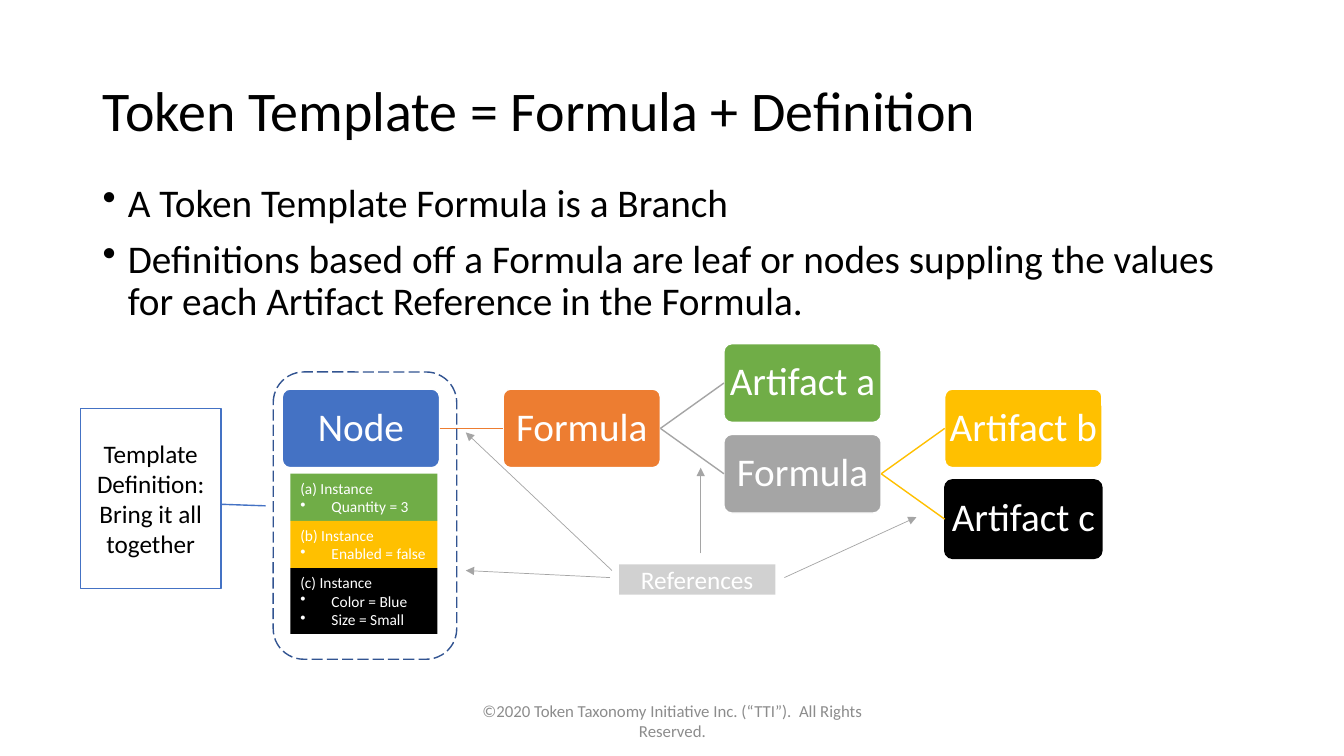
import pptx
import pptx.util
import pptx.dml.color
import pptx.enum.dml
import pptx.enum.shapes
import pptx.enum.text
import pptx.oxml.ns
from lxml import etree

Inches, Pt = pptx.util.Inches, pptx.util.Pt
SHAPE = pptx.enum.shapes.MSO_SHAPE
ALIGN = pptx.enum.text.PP_ALIGN
ANCHOR = pptx.enum.text.MSO_ANCHOR
STRAIGHT = pptx.enum.shapes.MSO_CONNECTOR.STRAIGHT
SLIDE_W, SLIDE_H = 13.33, 7.5
FONT = "Calibri"
COLORS = {
    "black": "000000", "white": "FFFFFF", "blue": "4472C4", "navy": "325491",
    "orange": "ED7D31", "green": "70AD47", "gray": "A5A5A5", "gold": "FFC000",
    "footer": "8C8C8C",
}
LEFT_SIDE, RIGHT_SIDE = 1, 3

# Tree boxes: key, label, fill, column, row (in half steps), parent
TREE = [
    ("node", "Node", "blue", 0, 1, None),
    ("formula", "Formula", "orange", 1, 1, "node"),
    ("a", "Artifact a", "green", 2, 0, "formula"),
    ("branch", "Formula", "gray", 2, 2, "formula"),
    ("b", "Artifact b", "gold", 3, 1, "branch"),
    ("c", "Artifact c", "black", 3, 3, "branch"),
]
LINK_COLORS = {"node": "orange", "formula": "gray", "branch": "gold"}
INSTANCES = [
    ("green", ["(a) Instance", "Quantity = 3"]),
    ("gold", ["(b) Instance", "Enabled = false"]),
    ("black", ["(c) Instance", "Color = Blue", "Size = Small"]),
]


def rgb(name):
    return pptx.dml.color.RGBColor.from_string(COLORS[name])


def add_xml(parent, tag, **attributes):
    return etree.SubElement(parent, pptx.oxml.ns.qn(tag), **attributes)


def place(shape, box):
    shape.left, shape.top, shape.width, shape.height = map(Inches, box)


def add_bullet(paragraph, indent):
    properties = paragraph._p.get_or_add_pPr()
    properties.set("marL", str(Inches(indent)))
    properties.set("indent", str(-Inches(indent)))
    add_xml(properties, "a:buChar", char="•")


def write(shape, lines, size, color, align=ALIGN.LEFT, anchor=ANCHOR.MIDDLE,
          spacing=None, bullets_from=None, indent=0, gap=0):
    """Fill a shape with lines; those from index bullets_from on are bulleted."""
    frame = shape.text_frame
    frame.text = "\n".join(lines)
    frame.word_wrap = True
    frame.auto_size = pptx.enum.text.MSO_AUTO_SIZE.NONE
    frame.vertical_anchor = anchor
    for index, paragraph in enumerate(frame.paragraphs):
        if bullets_from is not None and index >= bullets_from:
            add_bullet(paragraph, indent)
        paragraph.alignment = align
        paragraph.line_spacing = spacing
        if index and gap:
            paragraph.space_before = Pt(gap)
        for run in paragraph.runs:
            run.font.name, run.font.size = FONT, Pt(size)
            run.font.color.rgb = rgb(color)


def add_box(slide, kind, box, fill=None, line=None):
    shape = slide.shapes.add_shape(kind, *map(Inches, box))
    shape.shadow.inherit = False
    if fill:
        shape.fill.solid()
        shape.fill.fore_color.rgb = rgb(fill)
    else:
        shape.fill.background()
    if line:
        shape.line.color.rgb = rgb(line)
        shape.line.width = Pt(1)
    else:
        shape.line.fill.background()
    return shape


def add_line(slide, start, end, color, width):
    line = slide.shapes.add_connector(STRAIGHT, *map(Inches, start + end))
    line.line.color.rgb = rgb(color)
    line.line.width = Pt(width)
    add_xml(line._element.spPr, "a:effectLst")
    return line


def add_heading(slide, box):
    title = slide.shapes.title
    place(title, box)
    write(title, ["Token Template = Formula + Definition"], 40, "black", spacing=0.9)


def add_points(slide, box):
    points = slide.shapes.add_textbox(*map(Inches, box))
    write(points, [
        "A Token Template Formula is a Branch",
        "Definitions based off a Formula are leaf or nodes suppling the values "
        "for each Artifact Reference in the Formula.",
    ], 28, "black", anchor=ANCHOR.TOP, spacing=0.9, bullets_from=0, indent=0.25, gap=10)


def add_footer(slide, box):
    footer = slide.shapes.add_textbox(*map(Inches, box))
    write(footer, ["©2020 Token Taxonomy Initiative Inc. (“TTI”).  All Rights Reserved."],
          12, "footer", ALIGN.CENTER)


def add_tree(slide, box):
    left, top, width, height = box
    box_w, box_h = 1.56, 0.78
    column_step, row_step = (width - box_w) / 3, (height - box_h) / 3
    boxes = {}
    for key, label, color, column, row, parent in TREE:
        spot = (left + column * column_step, top + row * row_step, box_w, box_h)
        shape = add_box(slide, SHAPE.ROUNDED_RECTANGLE, spot, color,
                        "black" if color == "black" else "white")
        shape.adjustments[0] = 0.1
        write(shape, [label], 28, "white", ALIGN.CENTER, spacing=0.9)
        frame = shape.text_frame
        frame.margin_left = frame.margin_right = Inches(0.02)
        frame.margin_top = frame.margin_bottom = Inches(0.02)
        boxes[key] = shape
        if parent:
            link = add_line(slide, (0, 0), (1, 1), LINK_COLORS[parent], 1)
            link.begin_connect(boxes[parent], RIGHT_SIDE)
            link.end_connect(shape, LEFT_SIDE)


def add_instances(slide, box):
    """Stack the instances, each as tall as its share of lines and padding."""
    left, top, width, height = box
    padding = 0.1
    line_count = sum(len(lines) for _, lines in INSTANCES)
    line_h = (height - padding * len(INSTANCES)) / line_count
    for color, lines in INSTANCES:
        row_h = padding + line_h * len(lines)
        instance = add_box(slide, SHAPE.RECTANGLE, (left, top, width, row_h), color)
        write(instance, lines, 11, "white", anchor=ANCHOR.TOP, bullets_from=1, indent=0.31)
        top += row_h


def add_definition(slide, frame_box, callout_box):
    outline = add_box(slide, SHAPE.ROUNDED_RECTANGLE, frame_box, line="navy")
    outline.line.dash_style = pptx.enum.dml.MSO_LINE.LONG_DASH
    callout = add_box(slide, SHAPE.LINE_CALLOUT_1, callout_box, "white", "blue")
    for index, share in enumerate((0.532, 0.995, 0.541, 1.319)):
        callout.adjustments[index] = share
    write(callout, ["Template Definition: Bring it all together"], 18, "black", ALIGN.CENTER)


def add_references(slide, box):
    left, top, width, height = box
    label = add_box(slide, SHAPE.RECTANGLE, box, "gray")
    fill_color = label._element.spPr.find(".//" + pptx.oxml.ns.qn("a:srgbClr"))
    add_xml(fill_color, "a:alpha", val="50000")
    write(label, ["References"], 18, "white", ALIGN.CENTER)
    arrows = [
        ((-0.07, 0.06), (-1.52, -1.31)),
        ((-0.09, 0.13), (-1.52, 0.06)),
        ((0.81, -0.11), (0.81, -0.96)),
        ((1.64, 0.13), (2.95, -0.47)),
    ]
    for start, end in arrows:
        arrow = add_line(slide, (left + start[0], top + start[1]),
                         (left + end[0], top + end[1]), "gray", 0.5)
        add_xml(arrow.line._get_or_add_ln(), "a:tailEnd", type="triangle")


def main():
    deck = pptx.Presentation()
    deck.slide_width, deck.slide_height = Inches(SLIDE_W), Inches(SLIDE_H)
    slide = deck.slides.add_slide(deck.slide_layouts[5])
    add_heading(slide, (0.92, 0.4, 11.5, 1.45))
    add_points(slide, (0.92, 1.77, 11.5, 1.6))
    add_footer(slide, (4.42, 6.95, 4.5, 0.4))
    add_tree(slide, (2.8, 3.41, 8.13, 2.13))
    add_instances(slide, (2.88, 4.7, 1.46, 1.59))
    add_definition(slide, (2.71, 3.69, 1.82, 2.85), (0.8, 4.05, 1.39, 1.79))
    add_references(slide, (6.14, 5.6, 1.55, 0.3))
    deck.save("out.pptx")


if __name__ == "__main__":
    main()
